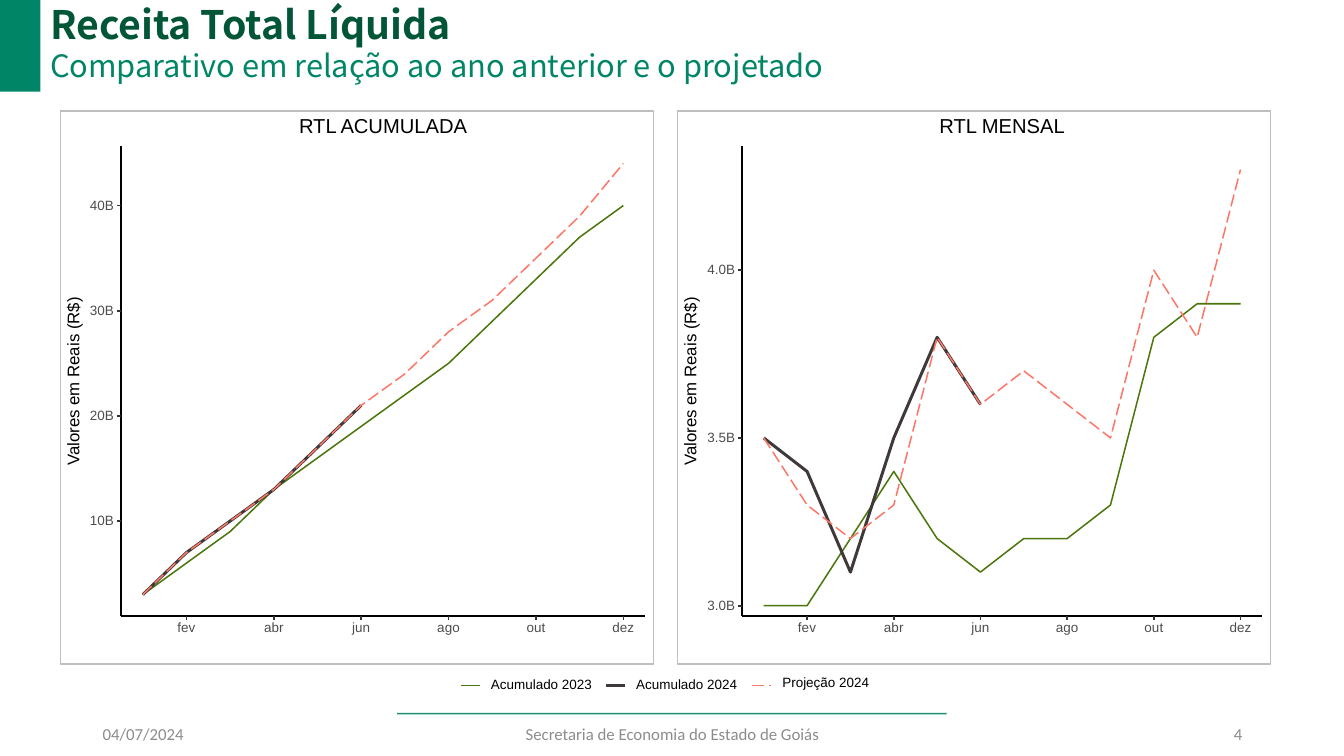
from dataclasses import dataclass

from lxml import etree
from pptx import Presentation
from pptx.chart.data import CategoryChartData
from pptx.dml.color import RGBColor
from pptx.enum.chart import XL_CHART_TYPE, XL_TICK_LABEL_POSITION, XL_TICK_MARK
from pptx.enum.dml import MSO_LINE
from pptx.enum.shapes import MSO_CONNECTOR, MSO_SHAPE
from pptx.enum.text import MSO_ANCHOR, PP_ALIGN
from pptx.oxml import parse_xml
from pptx.oxml.ns import nsdecls, qn
from pptx.util import Inches, Pt

LINE_CHART = XL_CHART_TYPE.LINE
NO_TICKS, NO_LABELS = XL_TICK_MARK.NONE, XL_TICK_LABEL_POSITION.NONE
SOLID, LONG_DASH = MSO_LINE.SOLID, MSO_LINE.LONG_DASH
STRAIGHT, RECTANGLE = MSO_CONNECTOR.STRAIGHT, MSO_SHAPE.RECTANGLE
TOP, MIDDLE = MSO_ANCHOR.TOP, MSO_ANCHOR.MIDDLE
LEFT, CENTER, RIGHT = PP_ALIGN.LEFT, PP_ALIGN.CENTER, PP_ALIGN.RIGHT


@dataclass(frozen=True)
class Theme:
    brand: str = "008666"
    heading: str = "005637"
    footer: str = "8C8C8C"
    paper: str = "FFFFFF"
    frame: str = "BEBEBE"
    label: str = "4D4D4D"
    tick: str = "333333"
    ink: str = "000000"
    heading_font: str = "Noto Sans CJK SC"
    subheading_font: str = "Noto Sans CJK TC"
    footer_font: str = "Calibri"
    chart_font: str = "Arial"
    heading_size: float = 28
    subheading_size: float = 22
    footer_size: float = 12
    chart_title_size: float = 14.4
    axis_title_size: float = 12
    label_size: float = 9.6
    axis_width: float = 1.16
    frame_width: float = 1.07


@dataclass(frozen=True)
class Box:
    left: float
    top: float
    width: float
    height: float

    def lengths(self) -> tuple:
        return tuple(Inches(v) for v in (self.left, self.top, self.width, self.height))


@dataclass(frozen=True)
class Style:
    font: str
    size: float
    color: str
    bold: bool = False


@dataclass(frozen=True)
class Series:
    name: str
    color: str
    width: float
    dash: int
    key_left: float
    label_top: float


@dataclass(frozen=True)
class Panel:
    title: str
    frame: Box
    plot: Box
    minimum: float
    maximum: float
    ticks: tuple
    decimals: int
    values: tuple


THEME = Theme()
# Only every second month carries a label.
MONTHS = ("", "fev", "", "abr", "", "jun", "", "ago", "", "out", "", "dez")
SERIES = (
    Series("Acumulado 2023", "4A760B", 1.07, SOLID, 4.57, 6.73),
    Series("Acumulado 2024", "3F3939", 2.13, SOLID, 6.01, 6.73),
    Series("Projeção 2024", "FC7768", 1.07, LONG_DASH, 7.46, 6.71),
)
PANELS = (
    Panel("RTL ACUMULADA", Box(0.6, 1.1, 5.88, 5.49), Box(1.2, 1.45, 5.2, 4.66),
          0.99, 45.66, (10, 20, 30, 40), 0, (
              (3, 6, 9, 13, 16, 19, 22, 25, 29, 33, 37, 40),
              (3, 7, 10, 13, 17, 21),
              (3, 7, 10, 13, 17, 21, 24, 28, 31, 35, 39, 44))),
    Panel("RTL MENSAL", Box(6.72, 1.1, 5.88, 5.49), Box(7.36, 1.45, 5.16, 4.66),
          2.97, 4.37, (3.0, 3.5, 4.0), 1, (
              (3.0, 3.0, 3.2, 3.4, 3.2, 3.1, 3.2, 3.2, 3.3, 3.8, 3.9, 3.9),
              (3.5, 3.4, 3.1, 3.5, 3.8, 3.6),
              (3.5, 3.3, 3.2, 3.3, 3.8, 3.6, 3.7, 3.6, 3.5, 4.0, 3.8, 4.3))),
)


def style_font(font, style: Style) -> None:
    font.name, font.size, font.bold = style.font, Pt(style.size), style.bold
    font.color.rgb = RGBColor.from_string(style.color)


def add_text(page, box: Box, text: str, style: Style, align=LEFT, anchor=MIDDLE,
             inset: float = 0.1, rotation: float = 0) -> None:
    text_box = page.shapes.add_textbox(*box.lengths())
    text_box.rotation = rotation
    frame = text_box.text_frame
    frame.word_wrap, frame.vertical_anchor = True, anchor
    frame.margin_left = frame.margin_right = Inches(inset)
    frame.margin_top = frame.margin_bottom = Inches(inset / 2)
    para = frame.paragraphs[0]
    para.alignment = align
    span = para.add_run()
    span.text = text
    style_font(span.font, style)


def add_rectangle(page, box: Box, fill: str, outline: str = "") -> None:
    shape = page.shapes.add_shape(RECTANGLE, *box.lengths())
    shape.shadow.inherit = False
    shape.fill.solid()
    shape.fill.fore_color.rgb = RGBColor.from_string(fill)
    if outline:
        shape.line.color.rgb = RGBColor.from_string(outline)
        shape.line.width = Pt(THEME.frame_width)
    else:
        shape.line.fill.background()


def add_line(page, start: tuple, end: tuple, color: str, width: float, dash=SOLID):
    line = page.shapes.add_connector(STRAIGHT, *(Inches(v) for v in start + end))
    line.line.color.rgb = RGBColor.from_string(color)
    line.line.width, line.line.dash_style = Pt(width), dash
    etree.SubElement(line._element.spPr, qn("a:effectLst"))
    return line


def pin_plot(chart, frame: Box, plot: Box) -> None:
    """Fix the inner plot area at its place within the chart frame."""
    area = chart._chartSpace.find(".//" + qn("c:plotArea"))
    layout = area.find(qn("c:layout"))
    if layout is None:
        layout = etree.Element(qn("c:layout"))
        area.insert(0, layout)
    manual = etree.SubElement(layout, qn("c:manualLayout"))
    for tag, value in (("layoutTarget", "inner"), ("xMode", "edge"), ("yMode", "edge"),
                       ("x", (plot.left - frame.left) / frame.width),
                       ("y", (plot.top - frame.top) / frame.height),
                       ("w", plot.width / frame.width), ("h", plot.height / frame.height)):
        etree.SubElement(manual, qn(f"c:{tag}")).set("val", str(value))


def add_line_chart(page, panel: Panel) -> None:
    data = CategoryChartData()
    data.categories = MONTHS
    for series, values in zip(SERIES, panel.values):
        data.add_series(series.name, values)
    chart = page.shapes.add_chart(LINE_CHART, *panel.frame.lengths(), data).chart
    chart.has_legend = chart.has_title = False
    style_font(chart.font, Style(THEME.chart_font, THEME.label_size, THEME.label))
    chart._chartSpace.find(qn("c:chart")).addnext(parse_xml(
        f'<c:spPr {nsdecls("c", "a")}><a:noFill/><a:ln><a:noFill/></a:ln></c:spPr>'))
    chart.plots[0].vary_by_categories = False
    for series, line in zip(SERIES, chart.plots[0].series):
        line.smooth = False
        line.format.line.color.rgb = RGBColor.from_string(series.color)
        line.format.line.width = Pt(series.width)
        line.format.line.dash_style = series.dash
    amounts = chart.value_axis
    for axis in (chart.category_axis, amounts):
        axis.has_major_gridlines = False
        axis.major_tick_mark = NO_TICKS
        axis.format.line.color.rgb = RGBColor.from_string(THEME.ink)
        axis.format.line.width = Pt(THEME.axis_width)
    amounts.minimum_scale, amounts.maximum_scale = panel.minimum, panel.maximum
    amounts.tick_label_position = NO_LABELS
    pin_plot(chart, panel.frame, panel.plot)


def add_scale(page, panel: Panel) -> None:
    """Draw month ticks, and value ticks with labels, along the plot edges."""
    plot = panel.plot
    base = plot.top + plot.height
    for index, month in enumerate(MONTHS):
        if month:
            x = plot.left + (index + 0.5) * plot.width / len(MONTHS)
            add_line(page, (x, base), (x, base + 0.04), THEME.tick, THEME.axis_width)
    style = Style(THEME.chart_font, THEME.label_size, THEME.label)
    for value in panel.ticks:
        y = base - (value - panel.minimum) / (panel.maximum - panel.minimum) * plot.height
        add_line(page, (plot.left - 0.04, y), (plot.left, y), THEME.tick, THEME.axis_width)
        add_text(page, Box(plot.left - 0.47, y - 0.06, 0.4, 0.1),
                 f"{value:.{panel.decimals}f}B", style, RIGHT, inset=0)


def add_panel(page, panel: Panel) -> None:
    frame, plot = panel.frame, panel.plot
    add_rectangle(page, frame, THEME.paper, THEME.frame)
    add_line_chart(page, panel)
    add_scale(page, panel)
    add_text(page, Box(plot.left, 1.17, plot.width, 0.15), panel.title,
             Style(THEME.chart_font, THEME.chart_title_size, THEME.ink), CENTER, inset=0)
    add_text(page, Box(frame.left - 0.88, 3.7, 2, 0.17), "Valores em Reais (R$)",
             Style(THEME.chart_font, THEME.axis_title_size, THEME.ink), CENTER,
             inset=0, rotation=270)


def main() -> None:
    deck = Presentation()
    deck.slide_width, deck.slide_height = Inches(13.33), Inches(7.5)
    page = deck.slides.add_slide(deck.slide_layouts[6])

    rule = add_line(page, (3.94, 7.08), (9.39, 7.08), THEME.brand, 1)
    color = rule._element.spPr.find(".//" + qn("a:srgbClr"))
    etree.SubElement(color, qn("a:alpha")).set("val", "91000")
    add_rectangle(page, Box(0, 0, 0.4, 0.91), THEME.brand)

    add_text(page, Box(0.4, 0, 11.5, 0.48), "Receita Total Líquida",
             Style(THEME.heading_font, THEME.heading_size, THEME.heading, True))
    add_text(page, Box(0.4, 0.41, 9.33, 0.43),
             "Comparativo em relação ao ano anterior e o projetado",
             Style(THEME.subheading_font, THEME.subheading_size, THEME.brand), anchor=TOP)
    footer = Style(THEME.footer_font, THEME.footer_size, THEME.footer)
    for left, width, text, align in (
            (0.92, 3, "04/07/2024", LEFT),
            (4.42, 4.5, "Secretaria de Economia do Estado de Goiás", CENTER),
            (9.42, 3, "4", RIGHT)):
        add_text(page, Box(left, 7.08, width, 0.4), text, footer, align)

    for panel in PANELS:
        add_panel(page, panel)
    key = Style(THEME.chart_font, THEME.label_size, THEME.ink)
    for series in SERIES:
        left = series.key_left
        add_line(page, (left, 6.8), (left + 0.19, 6.8), series.color, series.width, series.dash)
        add_text(page, Box(left + 0.3, series.label_top, 1.1, 0.12), series.name, key, inset=0)
    deck.save("out.pptx")


if __name__ == "__main__":
    main()
